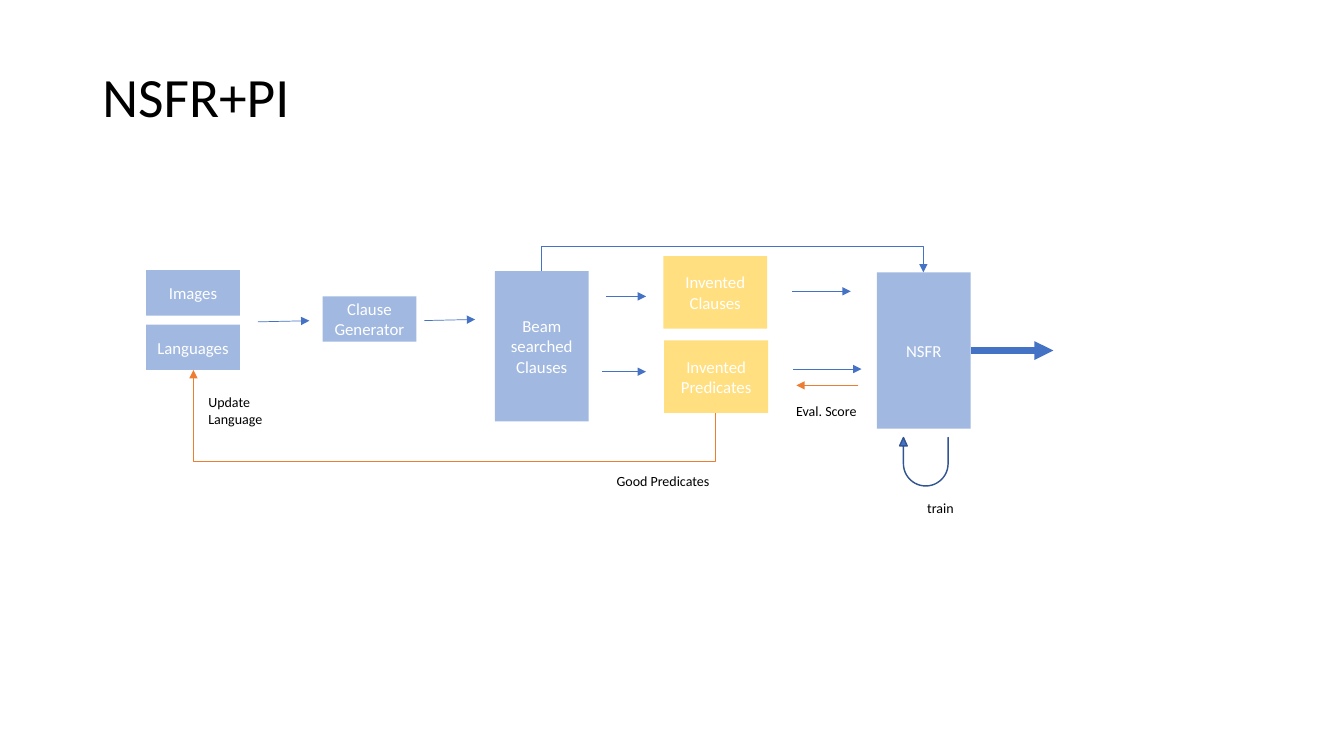
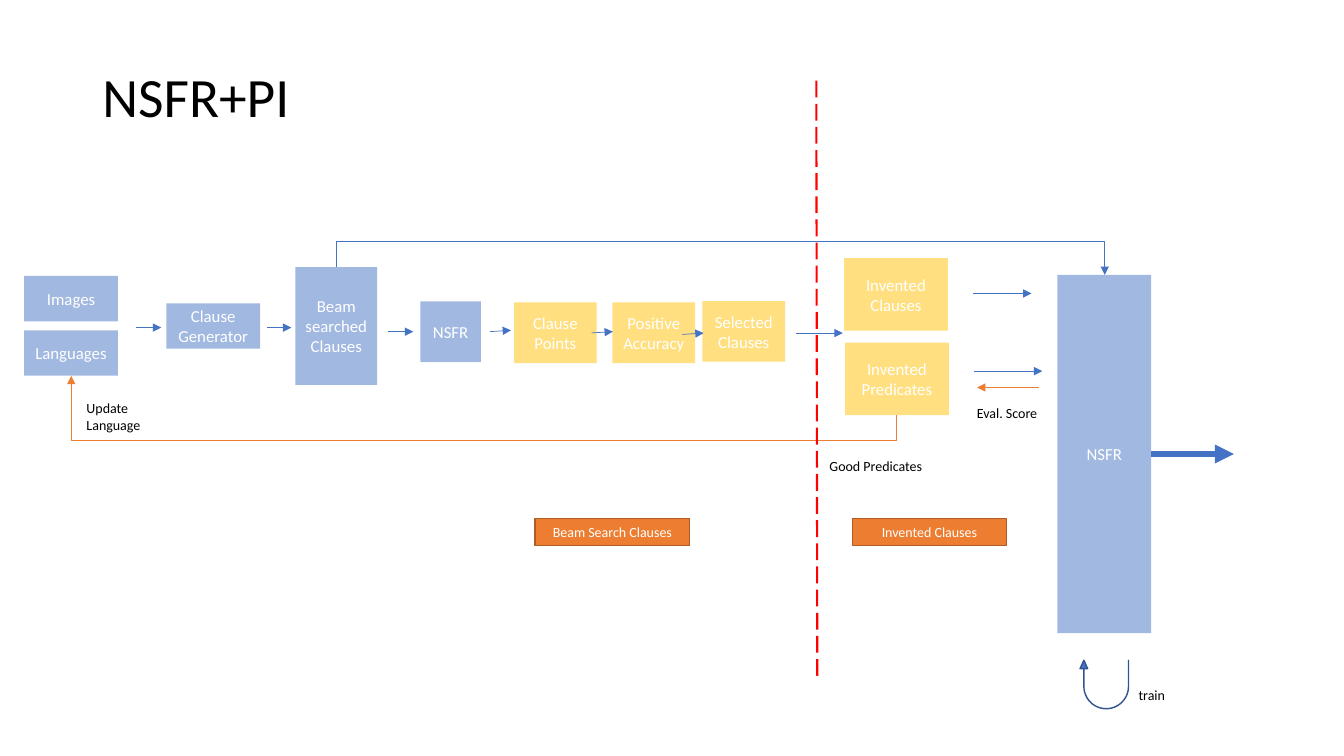
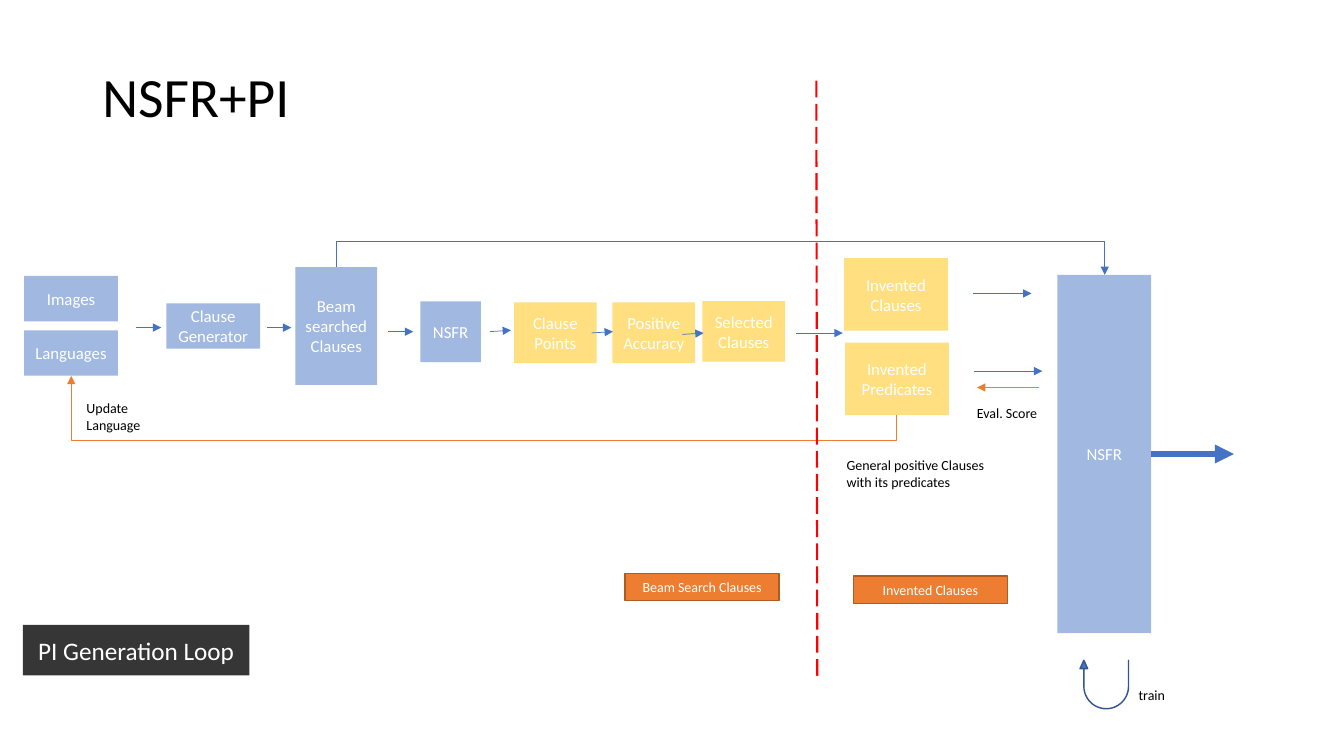
from pptx import Presentation
from pptx.dml.color import RGBColor
from pptx.enum import dml, shapes, text
from pptx.oxml.ns import qn
from pptx.util import Pt
from lxml import etree

BLUE = RGBColor(0x44, 0x72, 0xC4)
DARK_BLUE = RGBColor(0x32, 0x54, 0x91)
GOLD = RGBColor(0xFF, 0xC0, 0x00)
ORANGE = RGBColor(0xED, 0x7D, 0x31)
DARK_ORANGE = RGBColor(0xAF, 0x5C, 0x24)
RED = RGBColor(0xFF, 0x00, 0x00)
BLACK = RGBColor(0, 0, 0)
WHITE = RGBColor(0xFF, 0xFF, 0xFF)
FONT = "Calibri"
TITLE = "NSFR+PI"
BOX_W, BOX_H = 67, 32.4
TAG_W, TAG_H = 110.2, 19.4
OUTPUT_LENGTH = 59
UTURN_SIZE, UTURN_INSET = 34.6, 16.2
UTURN_ADJUSTMENTS = (0, 0.078, 0.172, 0.543, 1)

INPUTS = {
    "boxes": [("Images", BLUE, 104.4, 193, BOX_W, BOX_H),
              ("Languages", BLUE, 104.4, 231.9, BOX_W, BOX_H)],
    "notes": [("Update Language", 141.8, 277.7, 60.5, 31.7, True)],
}
INVENTION = {
    "boxes": [("Invented Clauses", GOLD, 473.8, 182.9, 74.2, 51.8),
              ("Invented Predicates", GOLD, 474.5, 243.2, 74.2, 51.8)],
    "arrows": [(566, 208.1, 607.7, 208.1, BLUE),
               (566.5, 263.6, 615.4, 263.6, BLUE),
               (613.2, 275.3, 568.8, 275.3, ORANGE)],
    "notes": [("Eval. Score", 561.6, 283.9, 59, 19.4, False)],
}
SHORT_PIPELINE = {
    "boxes": [("Clause Generator", BLUE, 230.4, 211.7, BOX_W, BOX_H),
              ("Beam searched Clauses", BLUE, 353.5, 193.7, BOX_W, 107.3)],
    "arrows": [(184.3, 229.9, 221, 229.1, BLUE),
               (303.1, 229, 339.4, 228.2, BLUE),
               (433.2, 211.7, 461.5, 211.7, BLUE),
               (430, 265.5, 461.5, 265.5, BLUE)],
    "loops": [(386.6, 193.7, 659.5, 194.6, 175.8, BLUE),
              (511.2, 294.8, 138.2, 264.3, 329.5, ORANGE)],
    "notes": [("Good Predicates", 433.4, 334.1, 82, 19.4, False)],
}
LONG_PIPELINE = {
    "boxes": [("Clause Generator", BLUE, 118.8, 216.7, BOX_W, BOX_H),
              ("Beam searched Clauses", BLUE, 211, 190.8, 58.5, 84.2),
              ("NSFR", BLUE, 300.2, 215.3, 43.4, 43.4),
              ("Clause Points", GOLD, 367.2, 216, 59, 43.4),
              ("Positive Accuracy", GOLD, 437.5, 216, 59, 43.4),
              ("Selected Clauses", GOLD, 501.8, 215, 59, 43.4)],
    "arrows": [(97.2, 234, 115.2, 234, BLUE),
               (190.8, 234, 208.1, 234, BLUE),
               (277.2, 236.9, 295.2, 236.9, BLUE),
               (349.9, 236.9, 365, 235.9, BLUE),
               (422.6, 237.8, 437.8, 236.9, BLUE),
               (487.4, 238.9, 502.6, 237.9, BLUE),
               (568.8, 237.9, 602, 237.9, BLUE)],
    "loops": [(240.5, 190.8, 789.1, 196.4, 172.8, BLUE),
              (640.6, 296.6, 50.9, 268.5, 314.6, ORANGE)],
}
PREDICATES_NOTE = ("Good Predicates", 585.4, 323.4, 82, 19.4, False)
CLAUSES_NOTE = ("General positive Clauses\nwith its predicates", 597.6, 322.6, 118.8, 31.7, False)
LOOP_BADGE = ("PI Generation Loop", 16.4, 446.4, 161.8, 36)

SHORT = {"stages": [(INPUTS, 0, 0), (INVENTION, 0, 0), (SHORT_PIPELINE, 0, 0)],
         "reasoner": (626.4, 194.6, BOX_W, 111.6), "train_gap": 6.3,
         "train_label": (655.2, 353.5)}
LONG = {"stages": [(INPUTS, -87.1, 4.1), (INVENTION, 129.1, 1.5), (LONG_PIPELINE, 0, 0)],
        "reasoner": (755.3, 196.3, BOX_W, 256), "train_gap": 19.3,
        "train_label": (806.2, 486.8), "divider": (583.1, 57.6, 583.8, 483.8, RED)}
SLIDES = [
    SHORT,
    {**LONG, "notes": [PREDICATES_NOTE],
     "tags": [("Beam Search Clauses", 382.3, 370.4), ("Invented Clauses", 608.8, 370.4)]},
    {**LONG, "notes": [CLAUSES_NOTE], "badge": LOOP_BADGE,
     "tags": [("Beam Search Clauses", 446.4, 409.5), ("Invented Clauses", 609.5, 411.6)]},
]


def write(shape, content, size=12, color=WHITE, align=text.PP_ALIGN.CENTER,
          anchor=text.MSO_ANCHOR.MIDDLE, wrap=True, fit=text.MSO_AUTO_SIZE.NONE, spacing=None):
    frame = shape.text_frame
    frame.text = content
    frame.word_wrap = wrap
    frame.auto_size = fit
    frame.vertical_anchor = anchor
    for paragraph in frame.paragraphs:
        paragraph.alignment = align
        paragraph.line_spacing = spacing
        font = paragraph.font
        font.name, font.size = FONT, Pt(size)
        font.color.rgb = color


def add_block(slide, kind, x, y, width, height, fill, alpha=100, outline=None):
    shape = slide.shapes.add_shape(kind, Pt(x), Pt(y), Pt(width), Pt(height))
    shape.shadow.inherit = False
    shape.fill.solid()
    shape.fill.fore_color.rgb = fill
    if alpha < 100:
        color = shape.element.spPr.find(qn("a:solidFill"))[0]
        etree.SubElement(color, qn("a:alpha")).set("val", str(alpha * 1000))
    if outline is None:
        shape.line.fill.background()
    else:
        shape.line.color.rgb = outline
        shape.line.width = Pt(1)
    return shape


def add_box(slide, content, x, y, width, height, fill, size=12, **look):
    shape = add_block(slide, shapes.MSO_SHAPE.RECTANGLE, x, y, width, height, fill, **look)
    write(shape, content, size=size)


def add_note(slide, content, x, y, width, height, wrap):
    box = slide.shapes.add_textbox(Pt(x), Pt(y), Pt(width), Pt(height))
    write(box, content, size=10, color=BLACK, align=text.PP_ALIGN.LEFT,
          anchor=text.MSO_ANCHOR.TOP, wrap=wrap, fit=text.MSO_AUTO_SIZE.SHAPE_TO_FIT_TEXT)


def add_line(slide, x1, y1, x2, y2, color, width=0.5, arrow=True, dash=None,
             kind=shapes.MSO_CONNECTOR.STRAIGHT):
    line = slide.shapes.add_connector(kind, Pt(x1), Pt(y1), Pt(x2), Pt(y2))
    line.line.color.rgb = color
    line.line.width = Pt(width)
    if dash is not None:
        line.line.dash_style = dash
    properties = line.element.spPr
    if arrow:
        etree.SubElement(properties.find(qn("a:ln")), qn("a:tailEnd")).set("type", "triangle")
    etree.SubElement(properties, qn("a:effectLst"))
    return line


def add_loop(slide, x1, y1, x2, y2, bend, color):
    width, height = abs(y2 - y1), abs(x2 - x1)
    left, top = (x1 + x2 - width) / 2, (y1 + y2 - height) / 2
    loop = add_line(slide, left, top, left + width, top + height, color,
                    kind=shapes.MSO_CONNECTOR.ELBOW)
    properties = loop.element.spPr
    frame = properties.find(qn("a:xfrm"))
    frame.set("rot", str((270 if x2 > x1 else 90) * 60000))
    frame.set("flipH", "1")
    guides = properties.find(qn("a:prstGeom")).find(qn("a:avLst"))
    guide = etree.SubElement(guides, qn("a:gd"))
    guide.set("name", "adj1")
    guide.set("fmla", f"val {round((bend - y1) / (y2 - y1) * 100000)}")


def add_stage(slide, stage, dx, dy):
    for content, color, x, y, width, height in stage.get("boxes", []):
        add_box(slide, content, x + dx, y + dy, width, height, color, alpha=50)
    for x1, y1, x2, y2, color in stage.get("arrows", []):
        add_line(slide, x1 + dx, y1 + dy, x2 + dx, y2 + dy, color)
    for x1, y1, x2, y2, bend, color in stage.get("loops", []):
        add_loop(slide, x1 + dx, y1 + dy, x2 + dx, y2 + dy, bend + dy, color)
    for content, x, y, width, height, wrap in stage.get("notes", []):
        add_note(slide, content, x + dx, y + dy, width, height, wrap)


def add_reasoner(slide, x, y, width, height, train_gap, train_label):
    add_box(slide, "NSFR", x, y, width, height, BLUE, alpha=50)
    right, middle = x + width, y + height / 2
    add_line(slide, right, middle, right + OUTPUT_LENGTH, middle, BLUE, width=4.5)
    uturn = add_block(slide, shapes.MSO_SHAPE.U_TURN_ARROW, x + UTURN_INSET,
                      y + height + train_gap, UTURN_SIZE, UTURN_SIZE, BLUE, outline=DARK_BLUE)
    uturn.rotation = 180
    for index, value in enumerate(UTURN_ADJUSTMENTS):
        uturn.adjustments[index] = value
    add_note(slide, "train", *train_label, 33.8, 19.4, False)


def add_diagram(presentation, layout, diagram):
    slide = presentation.slides.add_slide(layout)
    write(slide.shapes.title, TITLE, size=39.6, color=BLACK,
          align=text.PP_ALIGN.LEFT, spacing=0.9)
    add_reasoner(slide, *diagram["reasoner"], diagram["train_gap"], diagram["train_label"])
    for stage, dx, dy in diagram["stages"]:
        add_stage(slide, stage, dx, dy)
    for note in diagram.get("notes", []):
        add_note(slide, *note)
    if "divider" in diagram:
        add_line(slide, *diagram["divider"], width=1.5, arrow=False,
                 dash=dml.MSO_LINE.LONG_DASH)
    for content, x, y in diagram.get("tags", []):
        add_box(slide, content, x, y, TAG_W, TAG_H, ORANGE, size=10, outline=DARK_ORANGE)
    if "badge" in diagram:
        add_box(slide, *diagram["badge"], BLACK, size=18, alpha=79)


def main():
    presentation = Presentation()
    presentation.slide_width, presentation.slide_height = Pt(960), Pt(540)
    layout = presentation.slide_layouts.get_by_name("Title Only")
    title = layout.placeholders[0]
    title.left, title.top, title.width, title.height = Pt(66), Pt(43.9), Pt(165.6), Pt(54)
    for diagram in SLIDES:
        add_diagram(presentation, layout, diagram)
    presentation.save("out.pptx")


if __name__ == "__main__":
    main()
